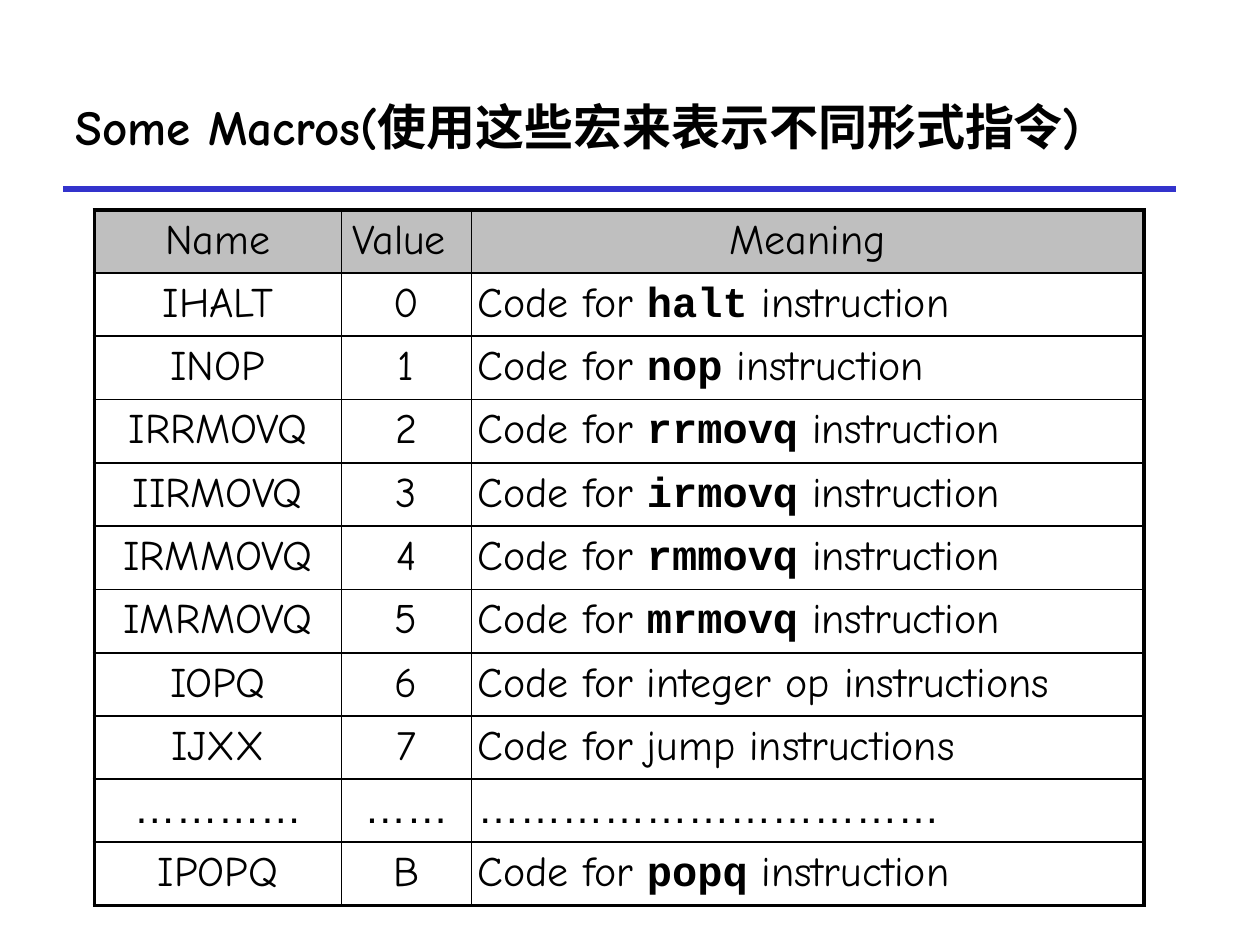
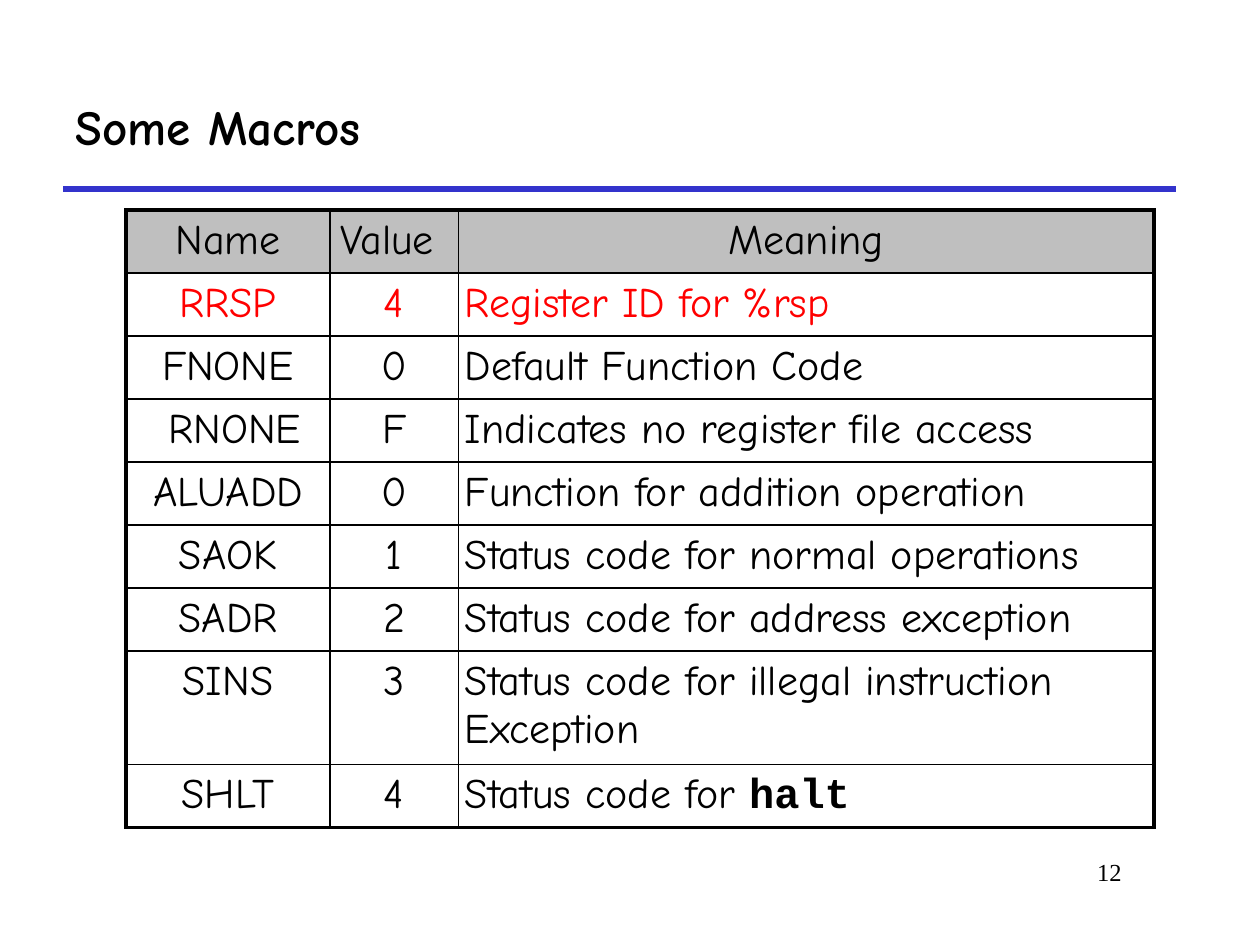
from pptx import Presentation
from pptx.dml.color import RGBColor as Rgb
from pptx.enum.shapes import MSO_CONNECTOR as Link
from pptx.enum.text import MSO_ANCHOR as Anchor, MSO_AUTO_SIZE as Fit, PP_ALIGN as Align
from pptx.oxml.ns import qn
from pptx.util import Cm, Pt
from lxml.etree import SubElement as sub

BLACK, WHITE, GREY, BLUE, RED = "000000", "FFFFFF", "BFBFBF", "3333CC", "FF0000"
MAIN, CODE, DOTS, SERIF = "Comic Neue", "Courier New", "Arial", "Times New Roman"
THICK, THIN = 2.25, 1
ROW, TALL, PAD, TOP = 1.27, 2.29, 0.13, 4.23
HEAD = ("Name", "Value ", ("Meaning",))


def code(name):
    return ("Code for ", name, " instruction")


# In the last column every second part is code.
SLIDES = [
    {
        "title": "Some Macros(使用这些宏来表示不同形式指令)",
        "left": 1.9,
        "cols": (4.98, 2.62, 13.56),
        "rows": [
            ("IHALT", "0", code("halt")),
            ("INOP", "1", code("nop")),
            ("IRRMOVQ", "2", code("rrmovq")),
            ("IIRMOVQ", "3", code("irmovq")),
            ("IRMMOVQ", "4", code("rmmovq")),
            ("IMRMOVQ", "5", code("mrmovq")),
            ("IOPQ", "6", ("Code for integer op instructions",)),
            ("IJXX", "7", ("Code for jump instructions",)),
            ("…………", "……", ("……………………………",)),
            ("IPOPQ", "B", code("popq")),
        ],
    },
    {
        "title": "Some Macros",
        "left": 2.54,
        "cols": (4.11, 2.59, 14.02),
        "rows": [
            ("RRSP", "4", ("Register ID for %rsp",)),
            ("FNONE", "0", ("Default Function Code",)),
            (" RNONE", "F", ("Indicates no register file access",)),
            ("ALUADD", "0", ("Function for addition operation",)),
            ("SAOK", "1", ("Status code for normal operations",)),
            ("SADR", "2", ("Status code for address exception",)),
            ("SINS", "3", ("Status code for illegal instruction Exception",)),
            ("SHLT", "4", ("Status code for ", "halt")),
        ],
        "red": 1,
        "tall": 7,
        "number": "12",
    },
]


def tint(text):
    return Rgb.from_string(text)


def add_run(para, text, size, face=MAIN, color=BLACK, bold=False):
    run = para.add_run()
    run.text = text
    font = run.font
    font.name, font.size, font.bold = face, Pt(size), bold
    font.color.rgb = tint(color)


def add_rule(slide, layout):
    """Draw the blue line and move it to the layout, so all slides share it."""
    line = slide.shapes.add_connector(
        Link.STRAIGHT, Cm(1.27), Cm(3.81), Cm(23.7), Cm(3.81))
    line.line.color.rgb = tint(BLUE)
    line.line.width = Pt(3)
    sub(line.element.spPr, qn("a:effectLst"))
    layout.shapes.element.append(line.element)


def set_edges(cell, widths):
    props = cell._tc.get_or_add_tcPr()
    for side, width in zip("LRTB", widths):
        edge = sub(props, qn(f"a:ln{side}"), w=str(Pt(width)))
        fill = sub(edge, qn("a:solidFill"))
        sub(fill, qn("a:srgbClr"), val=BLACK)


def fill_cell(cell, parts, align, back, color):
    cell.margin_left = cell.margin_right = Cm(PAD)
    cell.margin_top = cell.margin_bottom = Cm(PAD)
    cell.fill.solid()
    cell.fill.fore_color.rgb = tint(back)
    para = cell.text_frame.paragraphs[0]
    para.alignment = align
    for i, part in enumerate(parts):
        mono = i % 2 == 1
        face = CODE if mono else DOTS if "…" in part else MAIN
        add_run(para, part, 24, face, color, mono)


def add_grid(slide, data):
    rows, cols = [HEAD] + data["rows"], data["cols"]
    highs = [TALL if r == data.get("tall") else ROW for r in range(len(rows))]
    grid = slide.shapes.add_table(
        len(rows), len(cols), Cm(data["left"]), Cm(TOP),
        Cm(sum(cols)), Cm(sum(highs))).table
    grid.first_row = grid.horz_banding = False
    for col, wide in zip(grid.columns, cols):
        col.width = Cm(wide)
    end, last = len(rows) - 1, len(cols) - 1
    for r, row in enumerate(rows):
        grid.rows[r].height = Cm(highs[r])
        back = WHITE if r else GREY
        color = RED if r == data.get("red") else BLACK
        for c, item in enumerate(row):
            cell = grid.cell(r, c)
            outer = (c == 0, c == last, r == 0, r == end)
            set_edges(cell, [THICK if out else THIN for out in outer])
            parts = item if c == last else (item,)
            align = Align.LEFT if r and c == last else Align.CENTER
            fill_cell(cell, parts, align, back, color)


def add_title(slide, text):
    frame = slide.shapes.title.text_frame
    frame.auto_size, frame.vertical_anchor = Fit.NONE, Anchor.MIDDLE
    para = frame.paragraphs[0]
    para.alignment = Align.LEFT
    add_run(para, text, 28, bold=True)


def add_number(slide, text):
    box = slide.shapes.add_textbox(Cm(19.25), Cm(17.15), Cm(3.61), Cm(1.27))
    box.text_frame.word_wrap = True
    para = box.text_frame.paragraphs[0]
    para.alignment = Align.RIGHT
    add_run(para, text, 14, SERIF)


def main():
    deck = Presentation()
    deck.slide_width, deck.slide_height = Cm(25.4), Cm(19.05)
    layout = deck.slide_layouts[5]
    title = layout.placeholders[0]
    title.left, title.top = Cm(1.27), Cm(1.27)
    title.width, title.height = Cm(22.43), Cm(2.54)
    for data in SLIDES:
        slide = deck.slides.add_slide(layout)
        add_title(slide, data["title"])
        add_grid(slide, data)
        if "number" in data:
            add_number(slide, data["number"])
    add_rule(slide, layout)
    deck.save("out.pptx")


if __name__ == "__main__":
    main()
